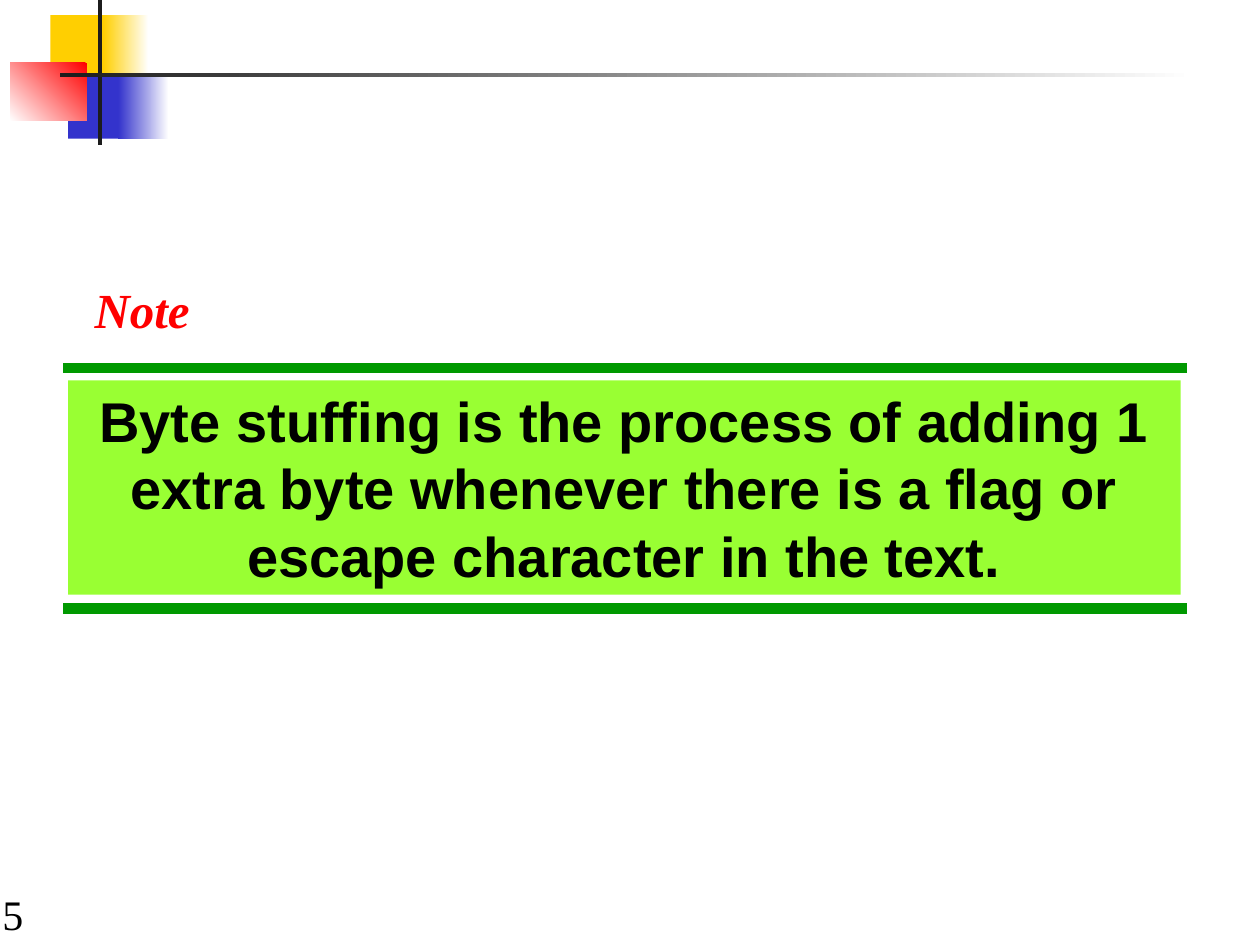
from dataclasses import dataclass
from typing import Optional

from lxml.etree import SubElement
from pptx import Presentation
from pptx.dml.color import RGBColor as RGB
from pptx.enum.shapes import MSO_CONNECTOR as Connector, MSO_SHAPE as Shape
from pptx.enum.text import MSO_ANCHOR as Anchor, MSO_AUTO_SIZE as AutoSize, PP_ALIGN as Align
from pptx.oxml.ns import qn
from pptx.util import Inches, Pt


@dataclass(frozen=True)
class Theme:
    yellow: RGB = RGB(0xFF, 0xCF, 0x01)
    blue: RGB = RGB(0x33, 0x33, 0xCC)
    red: RGB = RGB(0xFF, 0x00, 0x00)
    white: RGB = RGB(0xFF, 0xFF, 0xFF)
    black: RGB = RGB(0x00, 0x00, 0x00)
    charcoal: RGB = RGB(0x1C, 0x1C, 0x1C)
    rule_green: RGB = RGB(0x00, 0x99, 0x00)
    panel_green: RGB = RGB(0x99, 0xFF, 0x33)
    serif: str = "Times New Roman"
    sans: str = "Arial"
    number_size: int = 24
    note_size: int = 28
    message_size: int = 32
    rule_width: int = 6


@dataclass(frozen=True)
class Block:
    left: float
    top: float
    width: float
    height: float
    color: RGB
    fade_to: Optional[RGB] = None
    angle: int = 0  # counter-clockwise, from color to fade_to


THEME = Theme()

# Corner ornament, back to front
ORNAMENT = [
    Block(0.4, 0.12, 0.48, 0.52, THEME.yellow),
    Block(0.82, 0.12, 0.36, 0.52, THEME.white, THEME.yellow, 180),
    Block(0.54, 0.58, 0.46, 0.52, THEME.blue),
    Block(0.94, 0.58, 0.4, 0.52, THEME.white, THEME.blue, 180),
    Block(0.08, 0.5, 0.61, 0.46, THEME.red, THEME.white, 225),
    Block(0.78, 0, 0.03, 1.15, THEME.charcoal),
    Block(0.48, 0.58, 9, 0.03, THEME.white, THEME.charcoal, 180),
]
PANEL = Block(0.54, 3.02, 8.83, 1.7, THEME.panel_green)
RULE_LEFT, RULE_RIGHT = 0.5, 9.42
RULE_TOPS = (2.92, 4.83)


def draw_block(slide, block: Block):
    rect = slide.shapes.add_shape(
        Shape.RECTANGLE, Inches(block.left), Inches(block.top),
        Inches(block.width), Inches(block.height))
    rect.shadow.inherit = False
    rect.line.fill.background()
    if block.fade_to is None:
        rect.fill.solid()
        rect.fill.fore_color.rgb = block.color
    else:
        rect.fill.gradient()
        rect.fill.gradient_angle = block.angle
        for stop, color, position in zip(
                rect.fill.gradient_stops, (block.color, block.fade_to), (0, 1)):
            stop.color.rgb = color
            stop.position = position
    return rect


def draw_rule(slide, top: float) -> None:
    rule = slide.shapes.add_connector(
        Connector.STRAIGHT, Inches(RULE_LEFT), Inches(top), Inches(RULE_RIGHT), Inches(top))
    rule.line.color.rgb = THEME.rule_green
    rule.line.width = Pt(THEME.rule_width)
    SubElement(rule.element.spPr, qn("a:effectLst"))


def write_text(shape, text: str, font_name: str, size: int, color: RGB,
               bold: bool = False, italic: bool = False, align=Align.LEFT,
               anchor=Anchor.TOP, wrap: bool = True) -> None:
    frame = shape.text_frame
    frame.text = text
    frame.word_wrap = wrap
    frame.auto_size = AutoSize.NONE
    frame.vertical_anchor = anchor
    paragraph = frame.paragraphs[0]
    paragraph.alignment = align
    font = paragraph.font
    font.name, font.size, font.color.rgb = font_name, Pt(size), color
    font.bold, font.italic = bold, italic


def main() -> None:
    deck = Presentation()
    deck.slide_width, deck.slide_height = Inches(10), Inches(7.5)
    slide = deck.slides.add_slide(deck.slide_layouts[5])

    # Slide number
    number = slide.shapes.add_textbox(Inches(-0.08), Inches(7), Inches(2.08), Inches(0.5))
    write_text(number, "5", THEME.serif, THEME.number_size, THEME.black, anchor=Anchor.BOTTOM)

    for block in ORNAMENT:
        draw_block(slide, block)

    # Message panel between two rules
    for top in RULE_TOPS:
        draw_rule(slide, top)
    message = draw_block(slide, PANEL)
    write_text(
        message,
        "Byte stuffing is the process of adding 1 extra byte whenever there is "
        "a flag or escape character in the text.",
        THEME.sans, THEME.message_size, THEME.black, bold=True, align=Align.CENTER)

    # Heading
    note = slide.shapes.title
    note.left, note.top = Inches(0.65), Inches(2.17)
    note.width, note.height = Inches(0.96), Inches(0.57)
    write_text(note, "Note", THEME.serif, THEME.note_size, THEME.red,
               bold=True, italic=True, wrap=False)

    deck.save("out.pptx")


if __name__ == "__main__":
    main()
